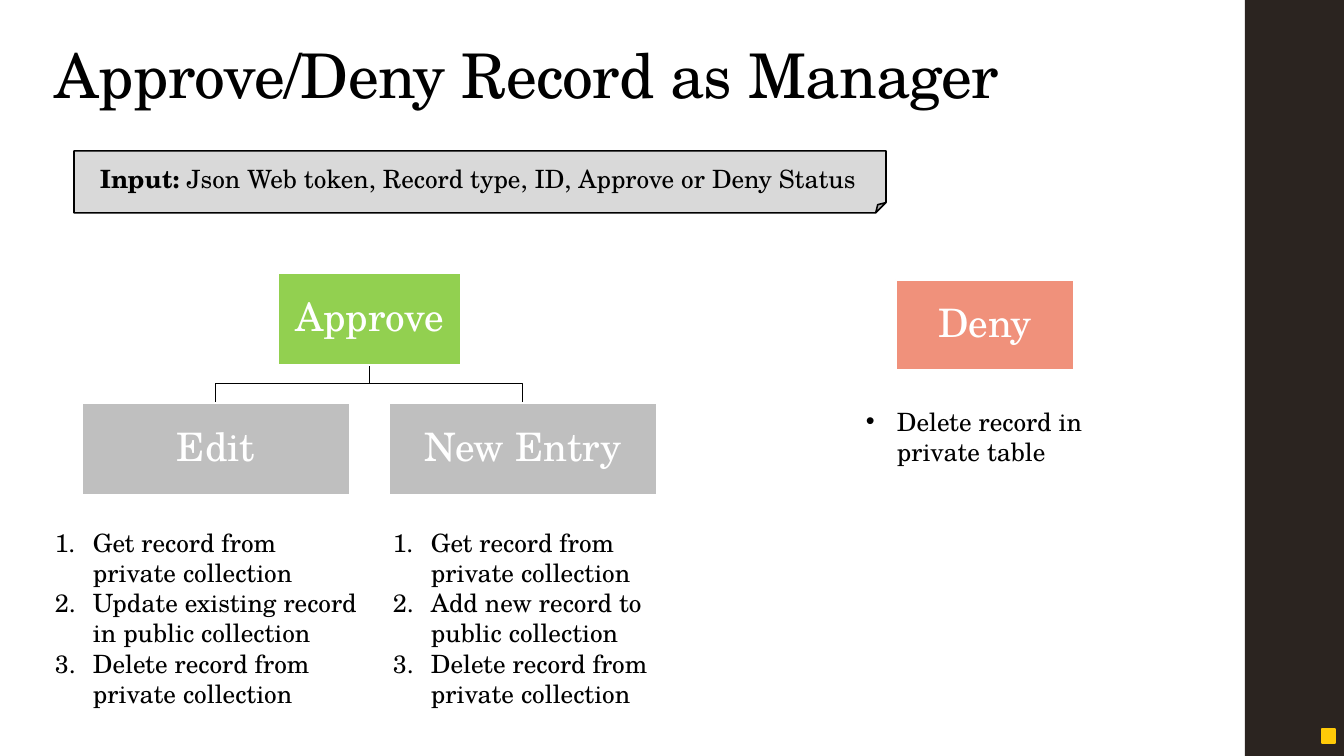
from dataclasses import dataclass

from lxml import etree
from pptx import Presentation
from pptx.dml.color import RGBColor
from pptx.enum.shapes import MSO_SHAPE
from pptx.enum.text import MSO_ANCHOR, PP_ALIGN
from pptx.oxml.ns import qn
from pptx.util import Pt

RECTANGLE = MSO_SHAPE.RECTANGLE
FOLDED = MSO_SHAPE.FOLDED_CORNER
MIDDLE = MSO_ANCHOR.MIDDLE
CENTER = PP_ALIGN.CENTER


@dataclass(frozen=True)
class Theme:
    font: str = "TeX Gyre Schola"
    black: str = "000000"
    white: str = "FFFFFF"
    sidebar: str = "2B2420"
    accent: str = "FFCA08"
    note: str = "D9D9D9"
    approve: str = "92D050"
    branch: str = "BFBFBF"
    deny: str = "F0917B"
    title_size: int = 44
    label_size: int = 28
    body_size: int = 18
    outline: float = 1.1
    link: float = 0.75


THEME = Theme()
PAGE_SIZE = (1344, 756)
SIDEBAR = (1245, 0, 101, 756)
CORNER_MARK = (1322, 729, 13, 14)
INSET = 2

TITLE = ("Approve/Deny Record as Manager", (45, 40, 969, 146))
NOTE = (74, 151, 812, 62)
INPUT = (
    [("Input: ", True), ("Json Web token, Record type, ID, Approve or Deny Status", False)],
    (90, 158, 875, 40),
)
APPROVE = ("Approve", (278, 273, 183, 92), THEME.approve)
BRANCHES = [
    ("Edit", (82, 403, 268, 92), THEME.branch),
    ("New Entry", (389, 403, 268, 92), THEME.branch),
]
DENY = ("Deny", (896, 280, 178, 90), THEME.deny)
LISTS = [
    (
        [
            "Get record from private collection",
            "Update existing record in public collection",
            "Delete record from private collection",
        ],
        (45, 522, 325, 194), "number", 38,
    ),
    (
        [
            "Get record from private collection",
            "Add new record to public collection",
            "Delete record from private collection",
        ],
        (383, 522, 323, 194), "number", 38,
    ),
    (["Delete record in private table"], (856, 401, 318, 72), "dot", 31),
]


def px(length):
    return round(length * 914400 / 100.8)


def color(code):
    return RGBColor.from_string(code)


def style_font(font, size, code):
    font.name = THEME.font
    font.size = Pt(size)
    font.color.rgb = color(code)


def add_block(page, kind, bounds, fill, line=None):
    block = page.shapes.add_shape(kind, *map(px, bounds))
    block.shadow.inherit = False
    block.fill.solid()
    block.fill.fore_color.rgb = color(fill)
    if line:
        block.line.color.rgb = color(line)
        block.line.width = Pt(THEME.outline)
    else:
        block.line.fill.background()
    return block


def add_label_box(page, label, bounds, fill):
    box = add_block(page, RECTANGLE, bounds, fill, THEME.white)
    frame = box.text_frame
    frame.word_wrap = True
    frame.vertical_anchor = MIDDLE
    frame.margin_left = frame.margin_right = px(INSET)
    frame.margin_top = frame.margin_bottom = px(INSET)
    para = frame.paragraphs[0]
    para.text = label
    para.alignment = CENTER
    para.line_spacing = 0.9
    style_font(para.font, THEME.label_size, THEME.white)


def add_link(page, parent, child):
    left, top, width, height = parent
    child_left, child_top, child_width, _ = child
    start_x, start_y = left + width / 2, top + height
    end_x = child_left + child_width / 2
    bend_y = (start_y + child_top) / 2
    builder = page.shapes.build_freeform(px(start_x), px(start_y))
    corners = [(start_x, bend_y), (end_x, bend_y), (end_x, child_top)]
    builder.add_line_segments([(px(x), px(y)) for x, y in corners], close=False)
    link = builder.convert_to_shape()
    link.shadow.inherit = False
    link.fill.background()
    link.line.color.rgb = color(THEME.black)
    link.line.width = Pt(THEME.link)


def add_frame(page, bounds):
    frame = page.shapes.add_textbox(*map(px, bounds)).text_frame
    frame.word_wrap = True
    return frame


def set_bullet(para, style, indent):
    properties = para._p.get_or_add_pPr()
    properties.set("marL", str(px(indent)))
    properties.set("indent", str(-px(indent)))
    if style == "number":
        etree.SubElement(properties, qn("a:buAutoNum"), type="arabicPeriod")
    else:
        etree.SubElement(properties, qn("a:buFont"), typeface="Arial")
        etree.SubElement(properties, qn("a:buChar"), char="•")


def add_list(page, items, bounds, style, indent):
    frame = add_frame(page, bounds)
    frame.text = "\n".join(items)
    for para in frame.paragraphs:
        set_bullet(para, style, indent)
        style_font(para.font, THEME.body_size, THEME.black)


def add_title(page, text, bounds):
    para = add_frame(page, bounds).paragraphs[0]
    para.line_spacing = 0.9
    style_font(para.font, THEME.title_size, THEME.black)
    span = para.add_run()
    span.text = text
    span._r.get_or_add_rPr().set("spc", "-50")


def add_input(page, parts, bounds):
    para = add_frame(page, bounds).paragraphs[0]
    style_font(para.font, THEME.body_size, THEME.black)
    for text, bold in parts:
        span = para.add_run()
        span.text = text
        span.font.bold = bold


def main():
    deck = Presentation()
    deck.slide_width, deck.slide_height = map(px, PAGE_SIZE)
    page = deck.slides.add_slide(deck.slide_layouts[6])

    add_block(page, RECTANGLE, SIDEBAR, THEME.sidebar)
    add_block(page, FOLDED, NOTE, THEME.note, THEME.black)
    for _, bounds, _ in BRANCHES:
        add_link(page, APPROVE[1], bounds)
    for box in [APPROVE, *BRANCHES, DENY]:
        add_label_box(page, *box)
    add_title(page, *TITLE)
    for entry in LISTS:
        add_list(page, *entry)
    add_input(page, *INPUT)
    add_block(page, RECTANGLE, CORNER_MARK, THEME.accent, THEME.accent)

    deck.save("out.pptx")


if __name__ == "__main__":
    main()
